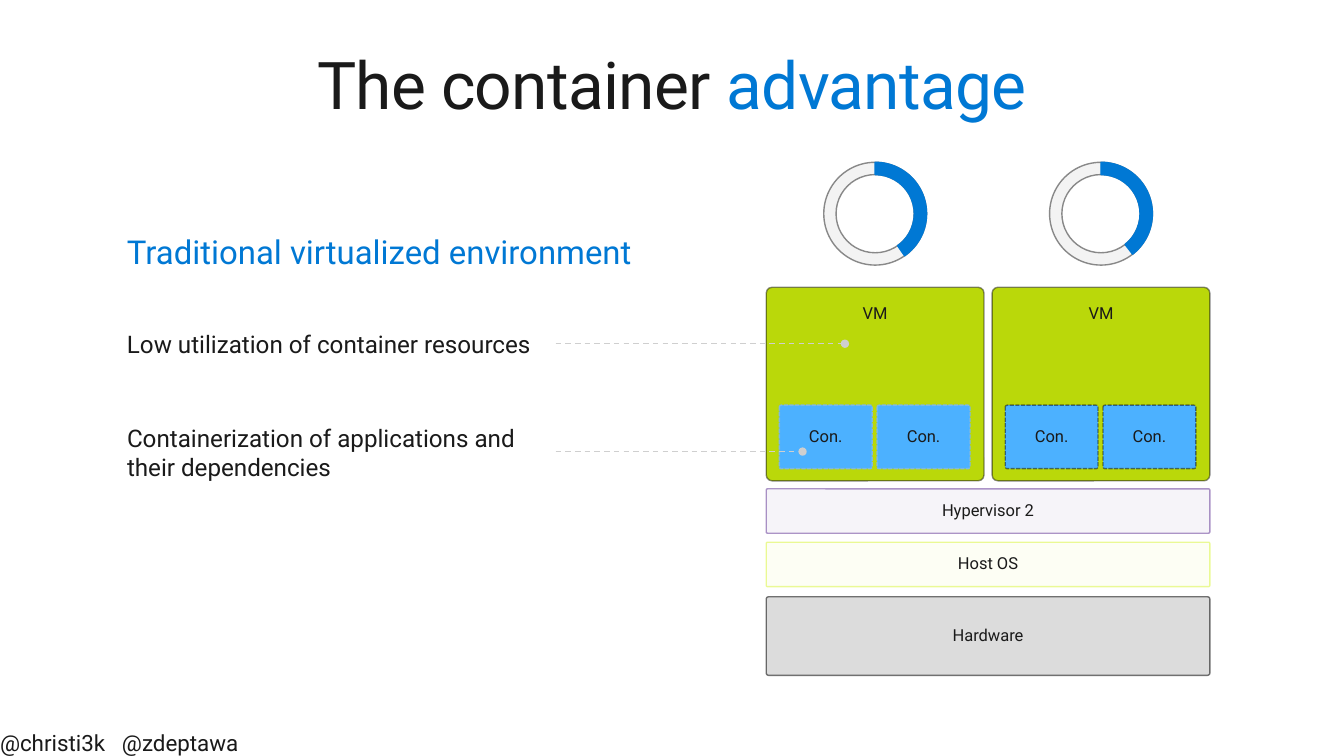
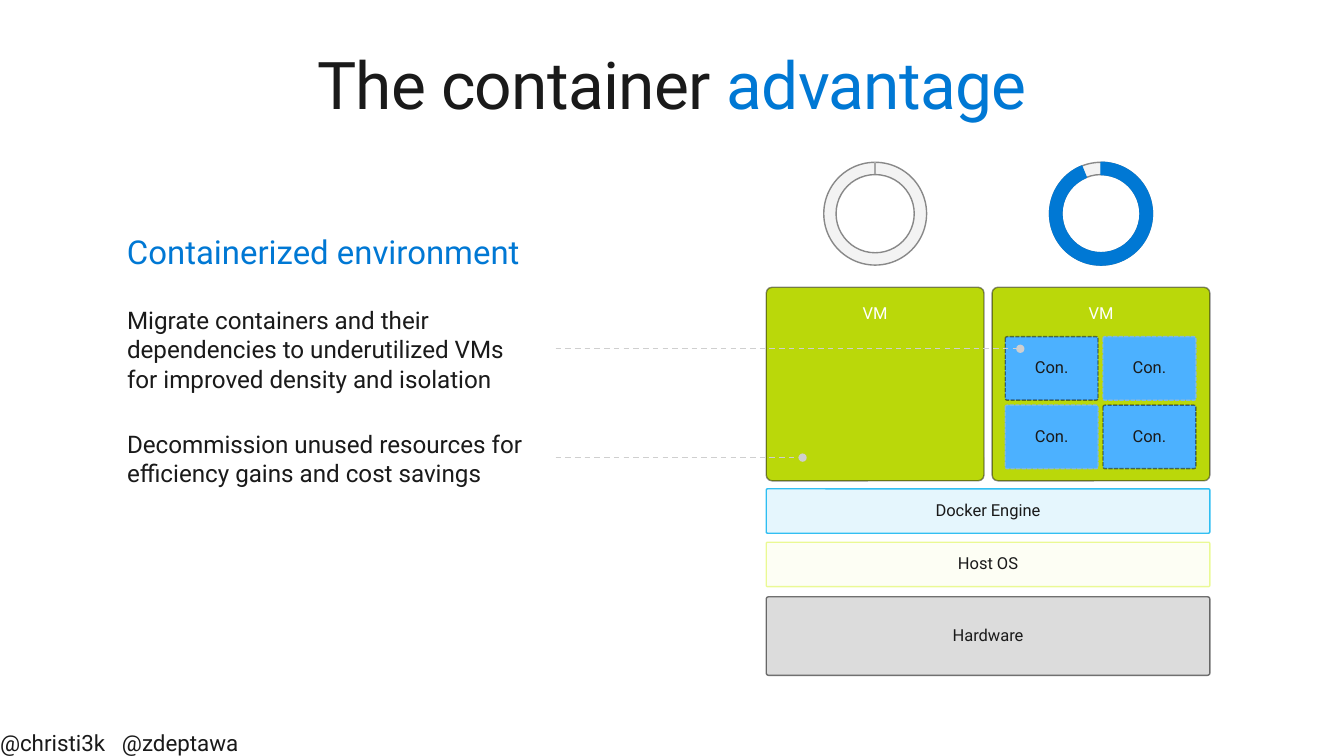
import pptx
import pptx.util
import pptx.dml.color
import pptx.enum.dml
import pptx.enum.shapes
import pptx.enum.text
import pptx.oxml.ns
from lxml import etree

RGB = pptx.dml.color.RGBColor
SHAPE = pptx.enum.shapes.MSO_SHAPE
DASH = pptx.enum.dml.MSO_LINE
ANCHOR = pptx.enum.text.MSO_ANCHOR
ALIGN = pptx.enum.text.PP_ALIGN
qn = pptx.oxml.ns.qn

INK = RGB(0x1A, 0x1A, 0x1A)
DARK = RGB(0x0D, 0x0D, 0x0D)
WHITE = RGB(0xFF, 0xFF, 0xFF)
BLUE = RGB(0x00, 0x78, 0xD4)
SKY = RGB(0x4C, 0xB1, 0xFF)
PALE_BLUE = RGB(0x7F, 0xB8, 0xE2)
CYAN = RGB(0x00, 0xB0, 0xF0)
GREEN = RGB(0xBA, 0xD8, 0x0A)
LIME = RGB(0xD9, 0xF6, 0x33)
PURPLE = RGB(0x5C, 0x2D, 0x91)
SILVER = RGB(0xCF, 0xCF, 0xCF)
GREY = RGB(0xA7, 0xA7, 0xA7)

WIDTH, HEIGHT = 1333, 750
STACK_X, STACK_W = 760, 440
VM_W, VM_STEP = 216, 224
CON_W, CON_H, CON_STEP_X, CON_STEP_Y = 92, 63, 97, 68
RING = 102


def px(n):
    return pptx.util.Emu(n * 9144)


class Deck:
    """Holds the shared style and the slide being drawn."""

    font = "Roboto"

    def __init__(self):
        self.prs = pptx.Presentation()
        self.prs.slide_width, self.prs.slide_height = px(WIDTH), px(HEIGHT)
        self.s = None

    def slide(self, heading):
        self.s = self.prs.slides.add_slide(self.prs.slide_layouts[6])
        self.text(29, 43, 1275, 79, [("The container ", INK), ("advantage", BLUE)],
                  47, align=ALIGN.CENTER, spacing=-50)
        self.text(110, 214, 574, 71, [(heading, BLUE)], 23.5, inset=(16, 16))
        self.text(0, 723, 515, 27, [("@christi3k\t@zdeptawa", INK)], 16, tab=121)

    def fill_text(self, shape, runs, size, inset, anchor, align, line=None, spacing=None,
                  tab=None):
        tf = shape.text_frame
        side, top = map(px, inset)
        frame = {"word_wrap": True, "vertical_anchor": anchor, "margin_left": side,
                 "margin_right": side, "margin_top": top, "margin_bottom": top}
        for name, value in frame.items():
            setattr(tf, name, value)
        p = tf.paragraphs[0]
        p.alignment, p.line_spacing = align, line
        if tab:
            tabs = etree.SubElement(p._p.get_or_add_pPr(), qn("a:tabLst"))
            etree.SubElement(tabs, qn("a:tab"), pos=str(px(tab)), algn="l")
        for words, color in runs:
            r = p.add_run()
            r.text = words
            for name, value in {"name": self.font, "size": pptx.util.Pt(size)}.items():
                setattr(r.font, name, value)
            r.font.color.rgb = color
            if spacing:
                r._r.get_or_add_rPr().set("spc", str(spacing))

    def text(self, x, y, w, h, runs, size, inset=(0, 0), anchor=ANCHOR.TOP,
             align=ALIGN.LEFT, **extra):
        sp = self.s.shapes.add_textbox(px(x), px(y), px(w), px(h))
        self.fill_text(sp, runs, size, inset, anchor, align, **extra)

    def paint(self, fill, color, alpha=100):
        fill.solid()
        fill.fore_color.rgb = color
        if alpha < 100:
            for node in fill._xPr.iter(qn("a:srgbClr")):
                etree.SubElement(node, qn("a:alpha"), val=str(alpha * 1000))

    def shape(self, kind, x, y, w, h, adjustments, fill, line, dash=DASH.SOLID):
        sp = self.s.shapes.add_shape(kind, px(x), px(y), px(w), px(h))
        sp.shadow.inherit = False
        for i, value in enumerate(adjustments):
            sp.adjustments[i] = value
        self.paint(sp.fill, *fill)
        self.paint(sp.line.fill, *line)
        sp.line.width, sp.line.dash_style = pptx.util.Pt(1), dash
        return sp

    def box(self, x, y, w, h, label, fill, line, color=INK, anchor=ANCHOR.MIDDLE,
            dash=DASH.SOLID):
        sp = self.shape(SHAPE.ROUNDED_RECTANGLE, x, y, w, h, [0.03], fill, line, dash)
        self.fill_text(sp, [(label, color)], 11.8, (20, 16), anchor, ALIGN.CENTER, line=0.9)

    def layer(self, y, h, label, color, fill_alpha, line_alpha):
        self.box(STACK_X, y, STACK_W, h, label, (color, fill_alpha), (color, line_alpha))

    def vm(self, column, color):
        self.box(STACK_X + column * VM_STEP, 285, VM_W, 192, "VM", (GREEN,), (INK, 50),
                 color, ANCHOR.TOP)

    def container(self, vm, column, row, line):
        x = STACK_X + 13 + vm * VM_STEP + column * CON_STEP_X
        self.box(x, 334 + row * CON_STEP_Y, CON_W, CON_H, "Con.", (SKY,), line,
                 dash=DASH.SQUARE_DOT)

    def gauge(self, column, sweep):
        x, y = STACK_X + 57 + column * VM_STEP, 161
        self.shape(SHAPE.DONUT, x, y, RING, RING, [0.12], (INK, 5), (INK, 50))
        if sweep:
            angles = [270 * 0.6, (sweep - 90) % 360 * 0.6, 0.12]
            self.shape(SHAPE.BLOCK_ARC, x, y, RING, RING, angles, (BLUE,), (BLUE,))
        else:
            self.line(x + RING // 2, y, x + RING // 2, y + 12, GREY)

    def line(self, x1, y1, x2, y2, color):
        c = self.s.shapes.add_connector(pptx.enum.shapes.MSO_CONNECTOR.STRAIGHT,
                                        px(x1), px(y1), px(x2), px(y2))
        c.line.color.rgb, c.line.width = color, pptx.util.Pt(1)
        etree.SubElement(c._element.spPr, qn("a:effectLst"))
        return c

    def callout(self, y, w, h, words, tip):
        self.text(110, y, w, h, [(words, INK)], 17.3, (16, 16), ANCHOR.MIDDLE)
        c = self.line(551, y + h // 2, tip, y + h // 2, SILVER)
        c.line.dash_style = DASH.DASH
        etree.SubElement(c._element.spPr.find(qn("a:ln")), qn("a:tailEnd"), type="oval")


def main():
    engines = [("Hypervisor 2", PURPLE, 5, 50), ("Docker Engine", CYAN, 10, 80)]
    dark, pale = (DARK, 50), (PALE_BLUE,)
    slides = [
        ("Traditional virtualized environment", INK, (145, 142),
         [(0, 0, 1, pale), (0, 1, 1, pale), (1, 0, 1, dark), (1, 1, 1, dark)],
         [(311, 476, 61, "Low utilization of container resources", 838),
          (403, 469, 91, "Containerization of applications and their dependencies", 796)]),
        ("Containerized environment", WHITE, (0, 338),
         [(1, 0, 0, dark), (1, 1, 0, pale), (1, 0, 1, pale), (1, 1, 1, dark)],
         [(286, 428, 121, "Migrate containers and their dependencies to underutilized "
           "VMs for improved density and isolation", 1012),
          (409, 469, 91, "Decommission unused resources for efficiency gains and "
           "cost savings", 796)]),
    ]
    deck = Deck()
    for engine, (heading, vm_color, sweeps, containers, callouts) in zip(engines, slides):
        deck.slide(heading)
        deck.layer(592, 78, "Hardware", INK, 15, 60)
        deck.layer(538, 44, "Host OS", LIME, 5, 50)
        deck.layer(485, 44, *engine)
        for column, sweep in enumerate(sweeps):
            deck.vm(column, vm_color)
            deck.gauge(column, sweep)
        for container in containers:
            deck.container(*container)
        for callout in callouts:
            deck.callout(*callout)
    deck.prs.save("out.pptx")


if __name__ == "__main__":
    main()
